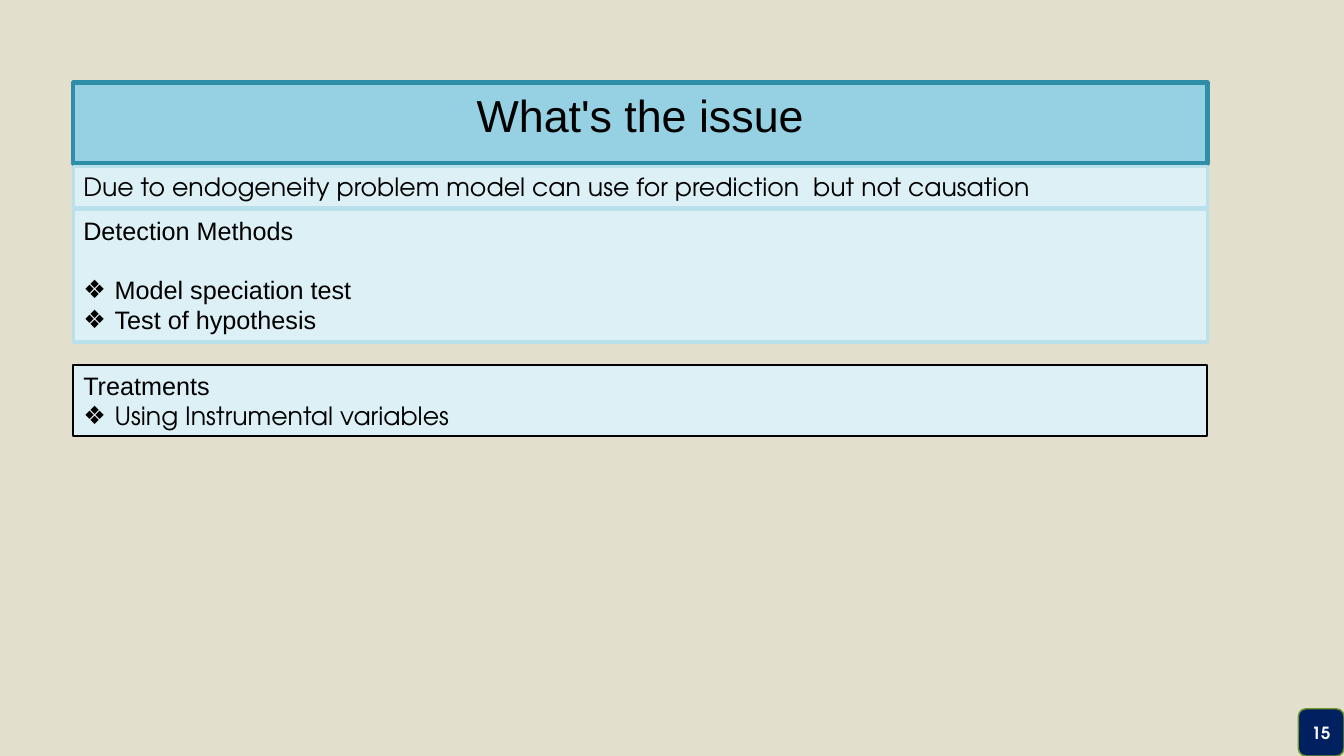
from pptx import Presentation
from pptx.dml.color import RGBColor
from pptx.enum.shapes import MSO_SHAPE
from pptx.enum.text import MSO_ANCHOR, PP_ALIGN
from pptx.oxml.ns import qn
from pptx.util import Cm, Pt
from lxml.etree import SubElement

# Content
TITLE = "What's the issue"
ISSUE = "Due to endogeneity problem model can use for prediction  but not causation"
DETECTION = ("Detection Methods", ["Model speciation test", "Test of hypothesis"])
TREATMENT = ("Treatments", ["Using Instrumental variables"])
PAGE = "15"

THEME = dict(
    bg="E2DFCC", ink="000000", light="FFFFFF",
    title_fill="95D1E2", title_line="2E8EA8",
    panel_fill="DCF0F5", panel_line="B8E1EC",
    badge_fill="002060", badge_line="719629",
    sans="Arial", geometric="TeX Gyre Adventor",
    title_size=32, body_size=18, badge_size=12,
)
T = THEME
LEFT, WIDTH = 1.85, 28.58
INDENT = 0.79
SLIDE_W, SLIDE_H = 33.87, 19.05


def color(name):
    return RGBColor.from_string(T[name])


def add_box(s, left, top, width, height, fill, line, weight,
            kind=MSO_SHAPE.RECTANGLE, anchor=MSO_ANCHOR.TOP):
    sp = s.shapes.add_shape(kind, Cm(left), Cm(top), Cm(width), Cm(height))
    sp.shadow.inherit = False
    sp.fill.solid()
    sp.fill.fore_color.rgb = color(fill)
    sp.line.color.rgb = color(line)
    sp.line.width = Pt(weight)
    tf = sp.text_frame
    tf.word_wrap = True
    tf.vertical_anchor = anchor
    return tf


def add_text(tf, text, size="body_size", font="sans", ink="ink", bold=False,
             align=PP_ALIGN.LEFT, bullet=False, before=0):
    p = tf.paragraphs[0] if not tf.text else tf.add_paragraph()
    p.alignment = align
    if before:
        p.space_before = Pt(before)
    if bullet:
        pPr = p._p.get_or_add_pPr()
        pPr.set("marL", str(Cm(INDENT)))
        pPr.set("indent", str(-Cm(INDENT)))
        SubElement(pPr, qn("a:buFont")).set("typeface", T["sans"])
        SubElement(pPr, qn("a:buChar")).set("char", "❖")
    r = p.add_run()
    r.text = text
    r.font.size = Pt(T[size])
    r.font.name = T[font]
    r.font.bold = bold
    r.font.color.rgb = color(ink)


def add_list(tf, heading, items, font="sans", gap=0):
    add_text(tf, heading)
    for i, item in enumerate(items):
        add_text(tf, item, font=font, bullet=True, before=0 if i else gap)


prs = Presentation()
prs.slide_width, prs.slide_height = Cm(SLIDE_W), Cm(SLIDE_H)
s = prs.slides.add_slide(prs.slide_layouts[6])
s.background.fill.solid()
s.background.fill.fore_color.rgb = color("bg")

# Title bar
tf = add_box(s, LEFT, 2.08, WIDTH, 2.04, "title_fill", "title_line", 3)
add_text(tf, TITLE, size="title_size", align=PP_ALIGN.CENTER)

# Issue statement
tf = add_box(s, LEFT, 4.19, WIDTH, 1.03, "panel_fill", "panel_line", 2.25)
add_text(tf, ISSUE, font="geometric")

# Detection methods
tf = add_box(s, LEFT, 5.29, WIDTH, 3.33, "panel_fill", "panel_line", 2.25)
add_list(tf, *DETECTION, gap=21)

# Treatments
tf = add_box(s, LEFT, 9.2, WIDTH, 1.79, "panel_fill", "ink", 1.5)
add_list(tf, *TREATMENT, font="geometric")

# Page badge in the bottom right corner
badge_w, badge_h = 1.15, 1.19
tf = add_box(s, SLIDE_W - badge_w, SLIDE_H - badge_h, badge_w, badge_h,
             "badge_fill", "badge_line", 1,
             kind=MSO_SHAPE.ROUNDED_RECTANGLE, anchor=MSO_ANCHOR.MIDDLE)
add_text(tf, PAGE, size="badge_size", font="geometric", ink="light", bold=True,
         align=PP_ALIGN.CENTER)

prs.save("out.pptx")
